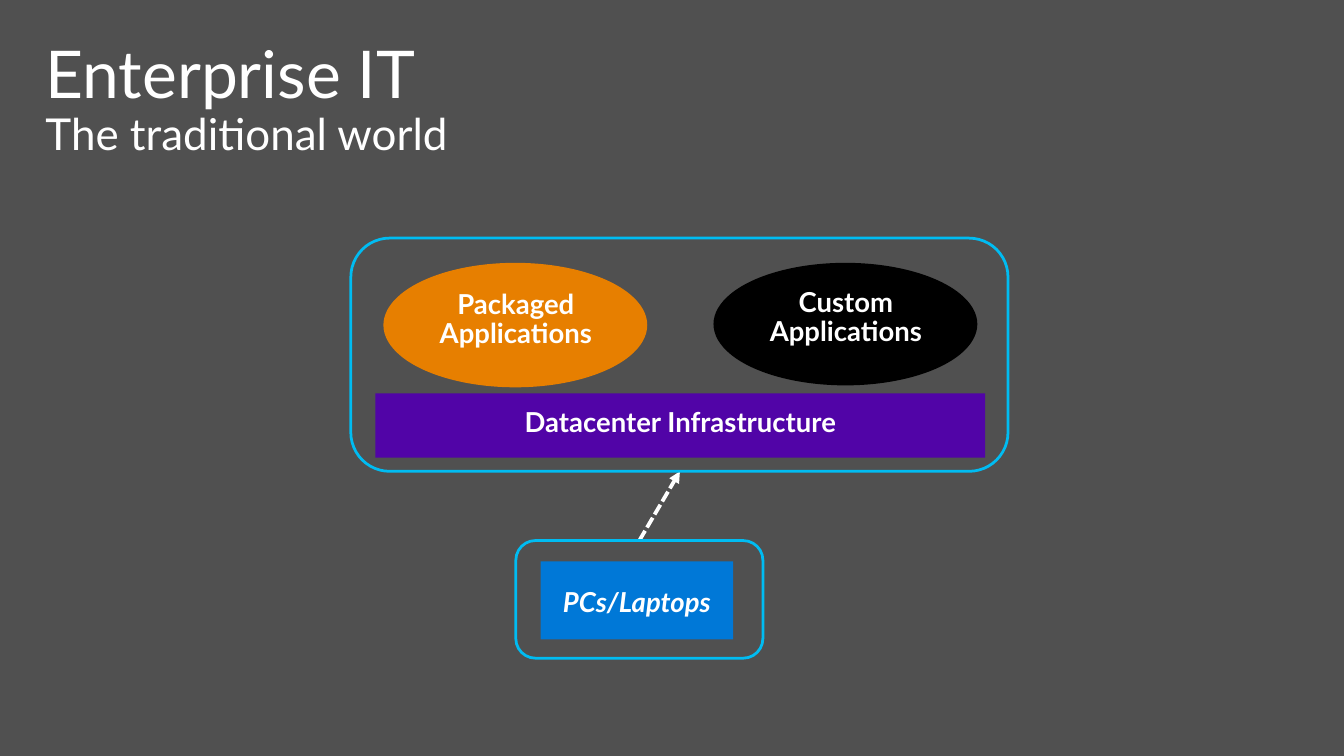
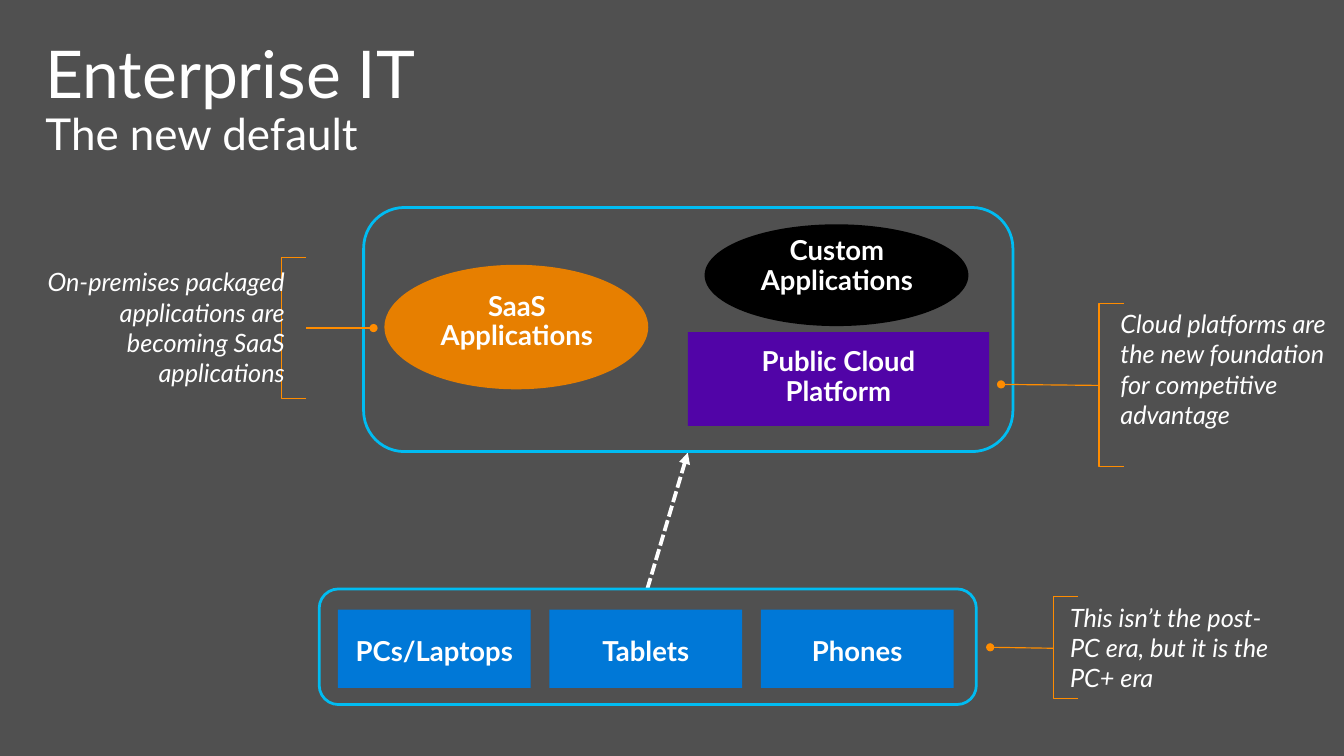
from dataclasses import dataclass

from lxml.etree import SubElement
from pptx import Presentation
from pptx.dml.color import RGBColor
from pptx.enum.dml import MSO_LINE
from pptx.enum.shapes import MSO_CONNECTOR, MSO_SHAPE
from pptx.enum.text import MSO_ANCHOR, MSO_AUTO_SIZE, PP_ALIGN
from pptx.oxml.ns import qn
from pptx.util import Emu, Pt

SCALE = 9144
SLIDE_SIZE = (1360, 765)
TITLE_BOX = (30, 32, 1300, 100)
TITLE_INSETS = (16, 10)
LABEL_INSETS = (20, 16)
NOTE_INSETS = (10, 5)
DEVICE_SIZE = (195, 79)
DEVICE_PITCH = 214
BRACKET_WIDTH = 25


@dataclass(frozen=True)
class Theme:
    font: str = "Lato"
    background: str = "505050"
    text: str = "FFFFFF"
    frame: str = "00BCF2"
    callout: str = "FF8C00"
    packaged: str = "E77F00"
    custom: str = "000000"
    platform: str = "5104A7"
    device: str = "0078D7"
    title_size: float = 48
    subtitle_size: float = 32
    label_size: float = 20
    note_size: float = 18.4
    arrow_width: float = 2.75
    frame_width: float = 2
    callout_width: float = 0.85
    line_spacing: float = 0.9


THEME = Theme()

SLIDES = [
    {
        "title": ("Enterprise IT", "The traditional world"),
        "arrow": ((647, 547), (688, 477)),
        "frames": [(355, 241, 665, 236), (522, 547, 250, 119)],
        "platform": ("Datacenter Infrastructure", (380, 398, 617, 65)),
        "applications": [
            (["Packaged Applications"], THEME.packaged, (388, 266, 267, 126), 12),
            (["Custom", "Applications"], THEME.custom, (722, 266, 267, 124), 10),
        ],
        "devices": (["PCs/Laptops"], (547, 568), True),
        "callouts": [],
    },
    {
        "title": ("Enterprise IT", "The new default"),
        "arrow": ((655, 596), (696, 458)),
        "frames": [(368, 210, 657, 247), (323, 596, 665, 117)],
        "platform": ("Public Cloud Platform", (696, 336, 305, 95)),
        "applications": [
            (["SaaS Applications"], THEME.packaged, (389, 268, 267, 126), 12),
            (["Custom", "Applications"], THEME.custom, (713, 227, 267, 103), -3),
        ],
        "devices": (["PCs/Laptops", "Tablets", "Phones"], (342, 617), False),
        "callouts": [
            ("This isn’t the post-PC era, but it is the PC+ era",
             (1066, 604, 103), ((1002, 655), (1066, 656)),
             (1073, 604, 223, 132), PP_ALIGN.LEFT),
            ("Cloud platforms are the new foundation for competitive advantage",
             (1112, 307, 165), ((1013, 389), (1112, 390)),
             (1124, 307, 234, 163), PP_ALIGN.LEFT),
            ("On-premises packaged applications are becoming SaaS applications",
             (285, 261, 142), ((378, 332), (310, 332)),
             (30, 265, 268, 163), PP_ALIGN.RIGHT),
        ],
    },
]


def emu(*lengths):
    return [Emu(length * SCALE) for length in lengths]


def style_font(font, size, bold=False, italic=False):
    font.name = THEME.font
    font.size = Pt(size)
    font.bold = bold
    font.italic = italic
    font.color.rgb = RGBColor.from_string(THEME.text)


def set_frame(text_frame, insets):
    text_frame.word_wrap = True
    text_frame.auto_size = MSO_AUTO_SIZE.NONE
    text_frame.vertical_anchor = MSO_ANCHOR.TOP
    horizontal, vertical = emu(*insets)
    text_frame.margin_left = text_frame.margin_right = horizontal
    text_frame.margin_top = text_frame.margin_bottom = vertical


def write(text_frame, lines, insets, size, align, spacing=None, bold=False, italic=False):
    set_frame(text_frame, insets)
    text_frame.text = "\n".join(lines)
    for paragraph in text_frame.paragraphs:
        paragraph.alignment = align
        paragraph.line_spacing = spacing
        style_font(paragraph.font, size, bold, italic)


def write_label(text_frame, lines, italic=False):
    write(text_frame, lines, LABEL_INSETS, THEME.label_size, PP_ALIGN.CENTER,
          THEME.line_spacing, True, italic)


def set_line(line, color, width):
    line.color.rgb = RGBColor.from_string(color)
    line.width = Pt(width)


def add_filled(slide, kind, box, color):
    shape = slide.shapes.add_shape(kind, *emu(*box))
    shape.shadow.inherit = False
    shape.fill.solid()
    shape.fill.fore_color.rgb = RGBColor.from_string(color)
    shape.line.fill.background()
    return shape


def add_outline(slide, kind, box, color, width, adjustment):
    shape = slide.shapes.add_shape(kind, *emu(*box))
    shape.shadow.inherit = False
    shape.adjustments[0] = adjustment
    shape.fill.background()
    set_line(shape.line, color, width)


def add_line(slide, ends, color, width, end_tag, end_type, dash=None):
    start, end = ends
    connector = slide.shapes.add_connector(MSO_CONNECTOR.STRAIGHT, *emu(*start, *end))
    set_line(connector.line, color, width)
    if dash:
        connector.line.dash_style = dash
    properties = connector._element.spPr
    SubElement(properties.find(qn("a:ln")), qn(end_tag), type=end_type)
    SubElement(properties, qn("a:effectLst"))


def add_title(slide, lines):
    text_frame = slide.shapes.title.text_frame
    set_frame(text_frame, TITLE_INSETS)
    paragraph = text_frame.paragraphs[0]
    paragraph.alignment = PP_ALIGN.LEFT
    paragraph.line_spacing = THEME.line_spacing
    for index, (line, size) in enumerate(zip(lines, (THEME.title_size, THEME.subtitle_size))):
        if index:
            paragraph.add_line_break()
        run = paragraph.add_run()
        run.text = line
        style_font(run.font, size)


def add_devices(slide, names, origin, italic):
    left, top = origin
    width, height = DEVICE_SIZE
    for index, name in enumerate(names):
        device_left = left + index * DEVICE_PITCH
        add_filled(slide, MSO_SHAPE.RECTANGLE, (device_left, top, width, height), THEME.device)
        label = slide.shapes.add_textbox(*emu(device_left - 4, top + 12, width + 8, 65))
        write_label(label.text_frame, [name], italic)


def add_application(slide, lines, color, box, label_offset):
    add_filled(slide, MSO_SHAPE.OVAL, box, color)
    left, top, width, height = box
    label = slide.shapes.add_textbox(*emu(left + 18, top + label_offset, width - 35, 125))
    write_label(label.text_frame, lines)


def add_callout(slide, text, bracket, ends, box, align):
    left, top, height = bracket
    add_outline(slide, MSO_SHAPE.LEFT_BRACKET, (left, top, BRACKET_WIDTH, height),
                THEME.callout, THEME.callout_width, 0)
    add_line(slide, ends, THEME.callout, THEME.callout_width, "a:headEnd", "oval")
    note = slide.shapes.add_textbox(*emu(*box))
    write(note.text_frame, [text], NOTE_INSETS, THEME.note_size, align, italic=True)


def build_slide(presentation, layout, content):
    slide = presentation.slides.add_slide(layout)
    add_title(slide, content["title"])
    add_line(slide, content["arrow"], THEME.text, THEME.arrow_width,
             "a:tailEnd", "triangle", MSO_LINE.SQUARE_DOT)
    for box in content["frames"]:
        add_outline(slide, MSO_SHAPE.ROUNDED_RECTANGLE, box,
                    THEME.frame, THEME.frame_width, 0.167)
    name, box = content["platform"]
    platform = add_filled(slide, MSO_SHAPE.RECTANGLE, box, THEME.platform)
    write_label(platform.text_frame, [name])
    for application in content["applications"]:
        add_application(slide, *application)
    add_devices(slide, *content["devices"])
    for callout in content["callouts"]:
        add_callout(slide, *callout)


def main():
    presentation = Presentation()
    presentation.slide_width, presentation.slide_height = emu(*SLIDE_SIZE)
    background = presentation.slide_master.background.fill
    background.solid()
    background.fore_color.rgb = RGBColor.from_string(THEME.background)
    layout = presentation.slide_layouts.get_by_name("Title Only")
    title = layout.placeholders[0]
    title.left, title.top, title.width, title.height = emu(*TITLE_BOX)
    for content in SLIDES:
        build_slide(presentation, layout, content)
    presentation.save("out.pptx")


if __name__ == "__main__":
    main()
